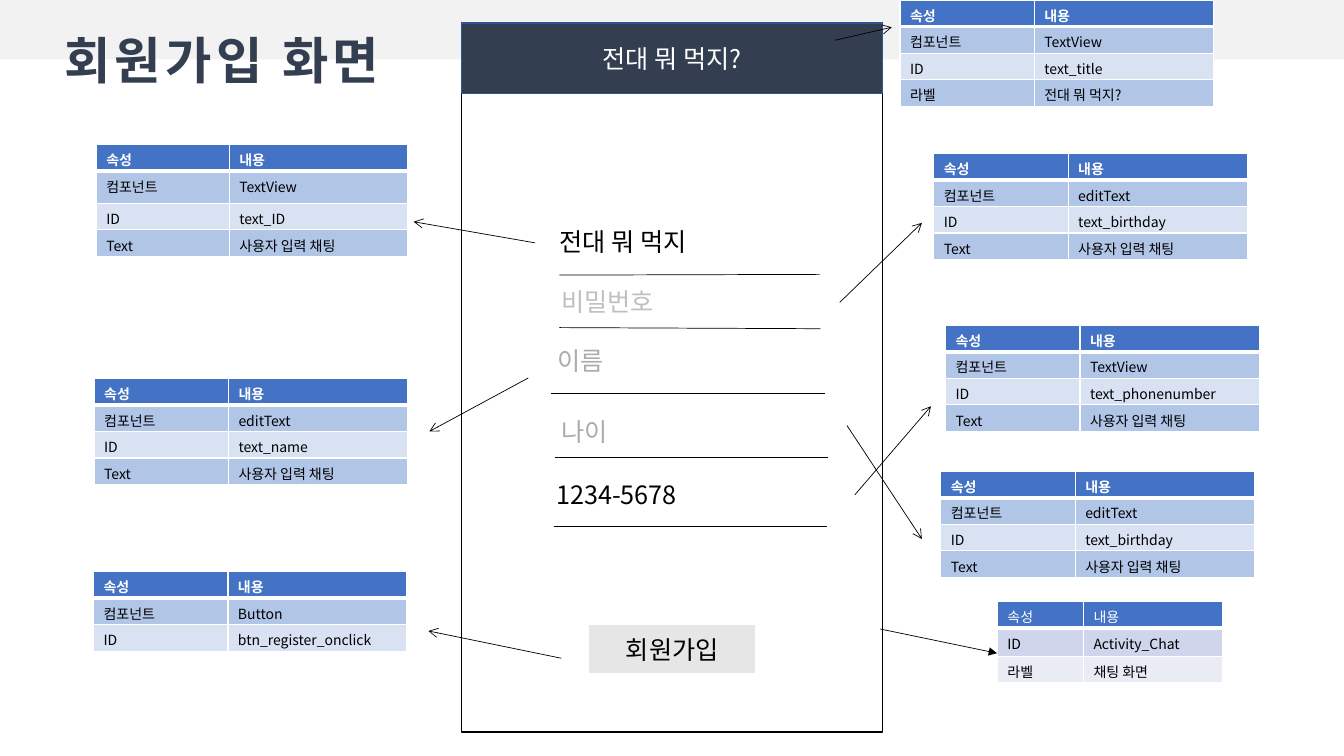
from lxml.etree import SubElement
from pptx import Presentation
from pptx.dml.color import RGBColor
from pptx.enum.shapes import MSO_CONNECTOR, MSO_SHAPE
from pptx.enum.text import MSO_ANCHOR, PP_ALIGN
from pptx.oxml.ns import qn
from pptx.util import Pt

FONT = "Noto Sans CJK KR"
COLORS = {
    "band": "F2F2F2", "navy": "333F50", "navy_edge": "325491",
    "white": "FFFFFF", "black": "000000", "button": "E7E6E6",
    "hint": "AFABAB", "password": "BFBFBF", "header": "4472C4",
    "blue_dark": "B1C5E7", "blue_light": "D8E2F3",
    "grey_dark": "CFD5EA", "grey_light": "E9EBF5",
}
BLUE_BANDS = ("blue_dark", "blue_light")
GREY_BANDS = ("grey_dark", "grey_light")
WIDE, FIRST, NARROW = (96, 128), (95, 127.5), (61.5, 99.5)
ROW_H = 19
INPUT = "사용자 입력 채팅"


def rgb(name):
    return RGBColor.from_string(COLORS[name])


def set_text(p, text, size, color, bold=False, spacing=None):
    p.text = text
    font = p.font
    font.size, font.bold, font.name = Pt(size), bold, FONT
    font.color.rgb = rgb(color)
    rpr = p._p.pPr.find(qn("a:defRPr"))
    SubElement(rpr, qn("a:ea")).set("typeface", FONT)
    if spacing:
        rpr.set("spc", str(spacing * 100))


def add_box(s, x, y, w, h, fill, line=None, text=None, color="black"):
    sp = s.shapes.add_shape(MSO_SHAPE.RECTANGLE, Pt(x), Pt(y), Pt(w), Pt(h))
    sp.shadow.inherit = False
    sp.fill.solid()
    sp.fill.fore_color.rgb = rgb(fill)
    if line:
        sp.line.color.rgb = rgb(line)
        sp.line.width = Pt(1)
    else:
        sp.line.fill.background()
    if text:
        tf = sp.text_frame
        tf.vertical_anchor = MSO_ANCHOR.MIDDLE
        p = tf.paragraphs[0]
        p.alignment = PP_ALIGN.CENTER
        set_text(p, text, 18, color)


def add_label(s, x, y, w, h, text, color, size=18, wrap=True, **style):
    tf = s.shapes.add_textbox(Pt(x), Pt(y), Pt(w), Pt(h)).text_frame
    tf.word_wrap = wrap
    set_text(tf.paragraphs[0], text, size, color, **style)


def add_line(s, x1, y1, x2, y2, head=None):
    cx = s.shapes.add_connector(MSO_CONNECTOR.STRAIGHT, Pt(x1), Pt(y1), Pt(x2), Pt(y2))
    cx.line.color.rgb = rgb("black")
    cx.line.width = Pt(0.5)
    if head:
        SubElement(cx.line._get_or_add_ln(), qn("a:tailEnd")).set("type", head)
    SubElement(cx._element.spPr, qn("a:effectLst"))


def set_borders(cell, top, bottom):
    tcpr = cell._tc.get_or_add_tcPr()
    for side, width in (("L", 1), ("R", 1), ("T", top), ("B", bottom)):
        ln = SubElement(tcpr, qn(f"a:ln{side}"))
        ln.set("w", str(Pt(width)))
        fill = SubElement(ln, qn("a:solidFill"))
        SubElement(fill, qn("a:srgbClr")).set("val", COLORS["white"])


def add_properties(s, x, y, pairs, widths=WIDE, second_h=ROW_H,
                   bands=BLUE_BANDS, bold=True):
    rows = [("속성", "내용"), *pairs]
    heights = [ROW_H, second_h] + [ROW_H] * (len(rows) - 2)
    table = s.shapes.add_table(len(rows), 2, Pt(x), Pt(y),
                               Pt(sum(widths)), Pt(sum(heights))).table
    for col, width in zip(table.columns, widths):
        col.width = Pt(width)
    for i, (row, height, texts) in enumerate(zip(table.rows, heights, rows)):
        row.height = Pt(height)
        for cell, text in zip(row.cells, texts):
            cell.margin_top, cell.margin_bottom = Pt(3.6), Pt(0.8)
            set_borders(cell, 3 if i == 1 else 1, 3 if i == 0 else 1)
            cell.fill.solid()
            cell.fill.fore_color.rgb = rgb(bands[(i - 1) % 2] if i else "header")
            set_text(cell.text_frame.paragraphs[0], text, 10,
                     "black" if i else "white", bold and i == 0)


def component(kind, name, label="Text", value=INPUT):
    return [("컴포넌트", kind), ("ID", name), (label, value)]


def add_phone(s):
    add_box(s, 329.5, 16.5, 301, 506.5, "white", "black")
    add_box(s, 329.5, 16.5, 301, 50.5, "navy", "navy_edge", "전대 뭐 먹지?", "white")
    add_box(s, 420.5, 446, 119.5, 35, "button", "white", "회원가입")
    for x, y, w, text, color in (
        (392.4, 158.4, 197, "전대 뭐 먹지", "black"),
        (393.8, 200.9, 193, "비밀번호", "password"),
        (391, 243.4, 72, "이름", "hint"),
        (393.8, 293.8, 72, "나이", "hint"),
        (390.2, 339.1, 158, "1234-5678", "black"),
    ):
        add_label(s, x, y, w, 29, text, color)
    for ends in (
        (399.5, 196.5, 585.5, 196),
        (399.5, 234, 586, 234.8),
        (393.5, 281, 589, 281),
        (396.5, 327, 591.5, 327),
        (395.5, 376, 590.5, 376),
    ):
        add_line(s, *ends)


def main():
    prs = Presentation()
    prs.slide_width, prs.slide_height = Pt(960), Pt(540)
    s = prs.slides.add_slide(prs.slide_layouts[6])

    add_box(s, 0, 0, 960, 42.5, "band")
    add_label(s, 39, 17.3, 266.5, 51, "회원가입 화면", "navy", 36, False,
              bold=True, spacing=3)
    add_phone(s)

    add_properties(s, 68.7, 103.2, component("TextView", "text_ID"), FIRST, 23)
    for x, y, pairs in (
        (67.2, 270.2, component("editText", "text_name")),
        (66.8, 408.2, component("Button", "btn_register_onclick")[:2]),
        (642.8, 0, component("TextView", "text_title", "라벨", "전대 뭐 먹지?")),
        (667, 109.5, component("editText", "text_birthday")),
        (675.4, 232.2, component("TextView", "text_phonenumber")),
        (672, 336.5, component("editText", "text_birthday")),
    ):
        add_properties(s, x, y, pairs)
    add_properties(s, 712.4, 429.8, [("ID", "Activity_Chat"), ("라벨", "채팅 화면")],
                   NARROW, 20, GREY_BANDS, False)

    for ends in (
        (382.3, 173.5, 295.5, 158.4),
        (599.8, 216, 658.5, 159.2),
        (377.3, 270, 306.7, 308.2),
        (605, 304, 658.5, 385),
        (610.6, 353.5, 665, 290.2),
        (401, 470.2, 306, 450.7),
        (596.2, 28.8, 637, 19.5),
    ):
        add_line(s, *ends, "arrow")
    add_line(s, 628.8, 449.3, 712.2, 466.6, "triangle")
    prs.save("out.pptx")


if __name__ == "__main__":
    main()
